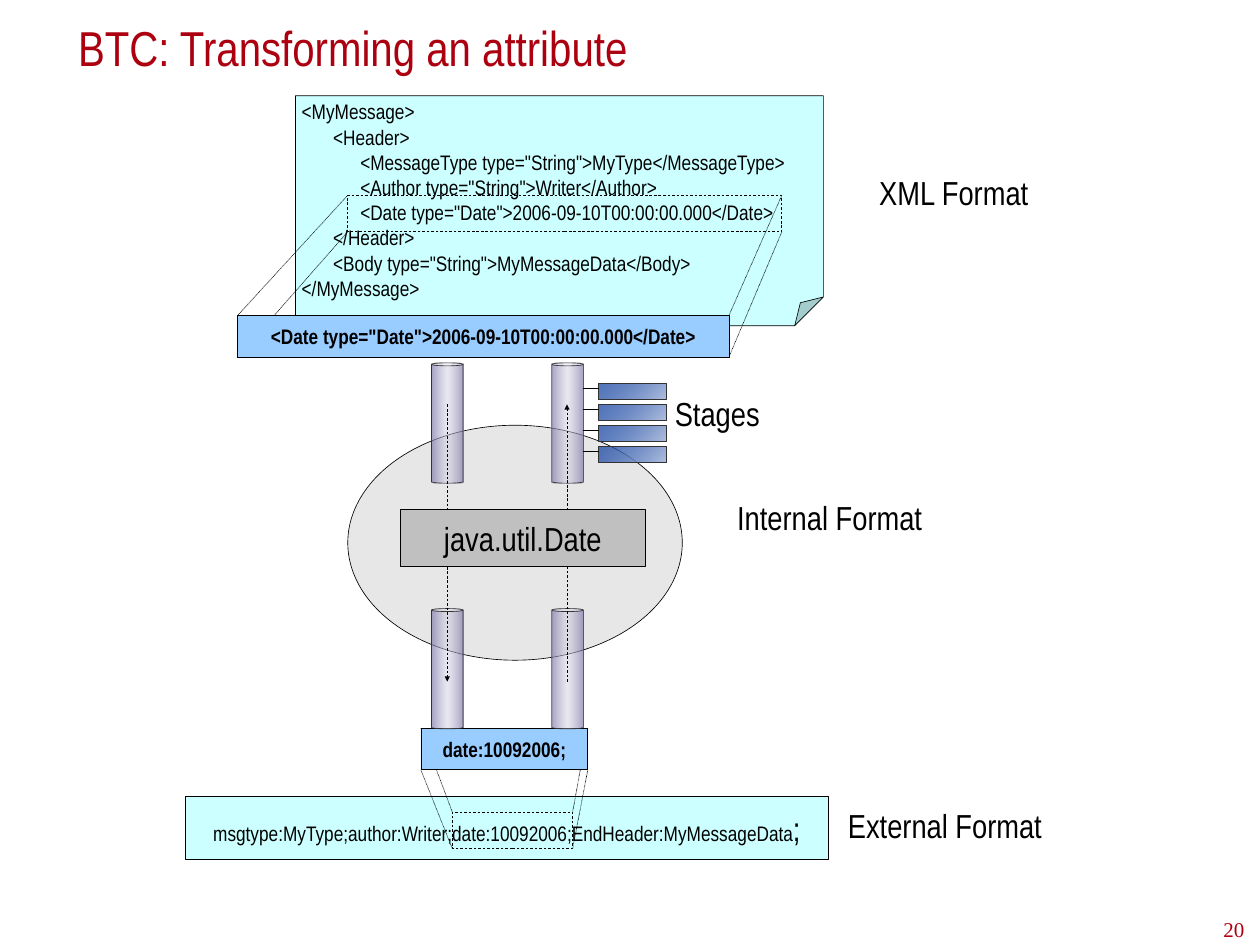
import dataclasses
import itertools

import lxml.etree
import pptx
import pptx.dml.color
import pptx.enum.dml
import pptx.enum.shapes
import pptx.enum.text
import pptx.oxml.ns
import pptx.util

RGB = pptx.dml.color.RGBColor
SHAPE = pptx.enum.shapes.MSO_SHAPE
DASH = pptx.enum.dml.MSO_LINE
ALIGN = pptx.enum.text.PP_ALIGN
ANCHOR = pptx.enum.text.MSO_ANCHOR
qn = pptx.oxml.ns.qn

BLACK = RGB(0x00, 0x00, 0x00)
CHARCOAL = RGB(0x33, 0x33, 0x33)
CRIMSON = RGB(0xAC, 0x00, 0x10)
PAPER = RGB(0xCC, 0xFF, 0xFF)
SKY = RGB(0x99, 0xCC, 0xFF)
SILVER = RGB(0xC0, 0xC0, 0xC0)
MIST = RGB(0xDD, 0xDD, 0xDD)
MAUVE = RGB(0x78, 0x72, 0xA6)
LILAC = RGB(0xD5, 0xD3, 0xE3)
NAVY = RGB(0x00, 0x33, 0x99)
STEEL = RGB(0xB1, 0xC0, 0xDF)

WIDTH, HEIGHT = pptx.util.Inches(20), pptx.util.Inches(15)
COLUMNS = 200
CELL = WIDTH / COLUMNS

PIPE_STOPS = [(0, MAUVE, 68), (50, LILAC, 48), (100, MAUVE, 68)]
STAGE_STOPS = [(0, STEEL, 100), (100, NAVY, 68)]
DATE_TAG = '<Date type="Date">2006-09-10T00:00:00.000</Date>'
MESSAGE = [
    (0, "<MyMessage>"),
    (5, "<Header>"),
    (9.3, '<MessageType type="String">MyType</MessageType>'),
    (9.3, '<Author type="String">Writer</Author>'),
    (9.3, DATE_TAG),
    (5, "</Header>"),
    (5, '<Body type="String">MyMessageData</Body>'),
    (0, "</MyMessage>"),
]


@dataclasses.dataclass
class Box:
    x: float
    y: float
    w: float
    h: float

    def inner(self, dx, dy, w, h):
        return Box(self.x + dx, self.y + dy, w, h)

    def corners(self):
        return itertools.product((self.x, self.x + self.w), (self.y, self.y + self.h))

    def emu(self):
        return [cells(v) for v in (self.x, self.y, self.w, self.h)]


def cells(n):
    return pptx.util.Emu(round(n * CELL))


def set_alpha(clr, percent):
    if percent < 100:
        lxml.etree.SubElement(clr, qn("a:alpha"), val=str(percent * 1000))


def set_adjustment(s, thousandths):
    guides = s.element.spPr.find(".//" + qn("a:avLst"))
    for gd in list(guides):
        guides.remove(gd)
    lxml.etree.SubElement(guides, qn("a:gd"), name="adj", fmla=f"val {thousandths * 100}")


def add_outline(line, color, dash=None):
    line.color.rgb = color
    line.width = pptx.util.Pt(0.75)
    if dash:
        line.dash_style = dash


def add_shape(sl, kind, box, fill=None, alpha=100, line=BLACK, dash=None):
    s = sl.shapes.add_shape(kind, *box.emu())
    s.shadow.inherit = False
    if fill is None:
        s.fill.background()
    else:
        s.fill.solid()
        s.fill.fore_color.rgb = fill
        set_alpha(s.element.spPr.find(".//" + qn("a:srgbClr")), alpha)
    add_outline(s.line, line, dash)
    return s


def add_gradient(s, stops, angle):
    s.fill.gradient()
    s.fill.gradient_angle = angle
    gs_list = s.element.spPr.find(".//" + qn("a:gsLst"))
    for gs in list(gs_list):
        gs_list.remove(gs)
    for pos, color, alpha in stops:
        gs = lxml.etree.SubElement(gs_list, qn("a:gs"), pos=str(pos * 1000))
        set_alpha(lxml.etree.SubElement(gs, qn("a:srgbClr"), val=str(color)), alpha)


def add_line(sl, start, end, dash=None, arrow=False):
    ends = [cells(v) for v in (*start, *end)]
    c = sl.shapes.add_connector(pptx.enum.shapes.MSO_CONNECTOR.STRAIGHT, *ends)
    add_outline(c.line, BLACK, dash)
    sp_pr = c.element.spPr
    if arrow:
        lxml.etree.SubElement(sp_pr.find(qn("a:ln")), qn("a:tailEnd"), type="triangle")
    lxml.etree.SubElement(sp_pr, qn("a:effectLst"))


def write(s, text, size=24, bold=False, color=BLACK, font="Arial Narrow", p=None,
          align=ALIGN.CENTER, anchor=ANCHOR.MIDDLE, wrap=False, inset=(1, 0.5), indent=0):
    tf = s.text_frame
    tf.word_wrap = wrap
    tf.vertical_anchor = anchor
    tf.margin_left = tf.margin_right = cells(inset[0])
    tf.margin_top = tf.margin_bottom = cells(inset[1])
    p = p or tf.paragraphs[0]
    p.alignment = align
    if indent:
        p._p.get_or_add_pPr().set("marL", str(cells(indent)))
    r = p.add_run()
    r.text = text
    r.font.size = pptx.util.Pt(size)
    r.font.bold = bold
    r.font.name = font
    r.font.color.rgb = color


def add_label(sl, box, text, **fmt):
    write(sl.shapes.add_textbox(*box.emu()), text, **fmt)


def add_excerpt(sl, source, callout, text):
    add_shape(sl, SHAPE.RECTANGLE, source, dash=DASH.DASH)
    for start, end in zip(callout.corners(), source.corners()):
        add_line(sl, start, end, dash=DASH.ROUND_DOT)
    write(add_shape(sl, SHAPE.RECTANGLE, callout, SKY), text, bold=True)


def xml_message(sl, box):
    s = add_shape(sl, SHAPE.FOLDED_CORNER, box, PAPER)
    set_adjustment(s, 125)
    for i, (indent, text) in enumerate(MESSAGE):
        p = s.text_frame.add_paragraph() if i else None
        write(s, text, p=p, align=ALIGN.LEFT, anchor=ANCHOR.TOP, wrap=True, indent=indent)
    add_excerpt(sl, box.inner(8.3, 15.8, 68.9, 5.8), box.inner(-9.2, 34.9, 78, 6.6), DATE_TAG)


def external_record(sl, box):
    s = add_shape(sl, SHAPE.RECTANGLE, box, PAPER)
    write(s, "msgtype:MyType;author:Writer;date:10092006;EndHeader:MyMessageData")
    write(s, ";", size=38)
    add_excerpt(sl, box.inner(42.4, 2.5, 19.1, 5.8), box.inner(37.4, -10.8, 26.5, 6.6),
                "date:10092006;")


def stages(sl, box, count=4):
    for i in range(count):
        bar = box.inner(2.5, i * box.h / count, box.w - 2.5, 2.5)
        add_gradient(add_shape(sl, SHAPE.RECTANGLE, bar, line=CHARCOAL), STAGE_STOPS, 135)
        add_line(sl, (box.x, bar.y + 0.8), (bar.x, bar.y + 0.8))


def converter(sl, box):
    add_shape(sl, SHAPE.OVAL, box.inner(0, 9.9, box.w, 37.3), MIST, alpha=68)
    for dx, dy in itertools.product((13.3, 32.4), (0, 39)):
        s = add_shape(sl, SHAPE.CAN, box.inner(dx, dy, 5, 19.1), line=CHARCOAL)
        set_adjustment(s, 96)
        add_gradient(s, PIPE_STOPS, 180)
    top, bottom = box.y + 6.6, box.y + 50.6
    for dx, start, end in ((15.8, top, bottom), (34.8, bottom, top)):
        add_line(sl, (box.x + dx, start), (box.x + dx, end), dash=DASH.DASH, arrow=True)
    stages(sl, box.inner(37.3, 3.3, 13.3, 13.32))
    core = add_shape(sl, SHAPE.RECTANGLE, box.inner(8.3, 23.2, 39, 9.1), SILVER)
    write(core, "java.util.Date", size=38)


def captions(sl):
    for text, box in (
        ("Stages", Box(106.1, 61.9, 15.5, 7.4)),
        ("Internal Format", Box(116, 78.5, 31.4, 7.4)),
        ("XML Format", Box(138.5, 26.9, 25.8, 7.4)),
        ("External Format", Box(133.6, 127.3, 32.8, 7.4)),
    ):
        add_label(sl, box, text, size=38, anchor=ANCHOR.TOP)


def main():
    prs = pptx.Presentation()
    prs.slide_width, prs.slide_height = WIDTH, HEIGHT
    sl = prs.slides.add_slide(prs.slide_layouts[6])
    add_label(sl, Box(10.4, 0, 182.6, 15), "BTC: Transforming an attribute", size=56,
              color=CRIMSON, align=ALIGN.LEFT, wrap=True, inset=(2, 1))
    xml_message(sl, Box(46.9, 15.2, 83.8, 36.5))
    external_record(sl, Box(29.4, 126.4, 102.1, 10))
    converter(sl, Box(55.2, 57.6, 53.1, 58.1))
    captions(sl)
    add_label(sl, Box(191.7, 145.8, 8.3, 3.3), "20", color=CRIMSON,
              font="Times New Roman", wrap=True, inset=(0, 0))
    prs.save("out.pptx")


if __name__ == "__main__":
    main()
